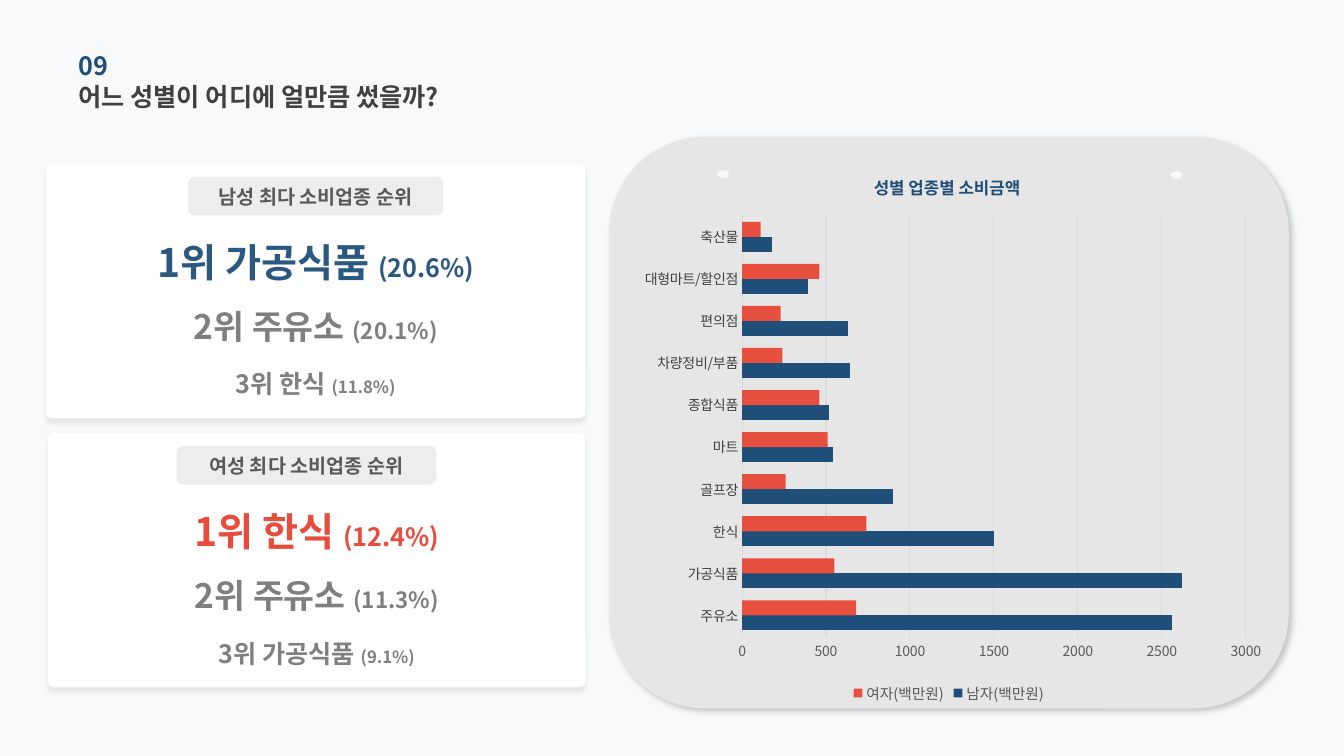
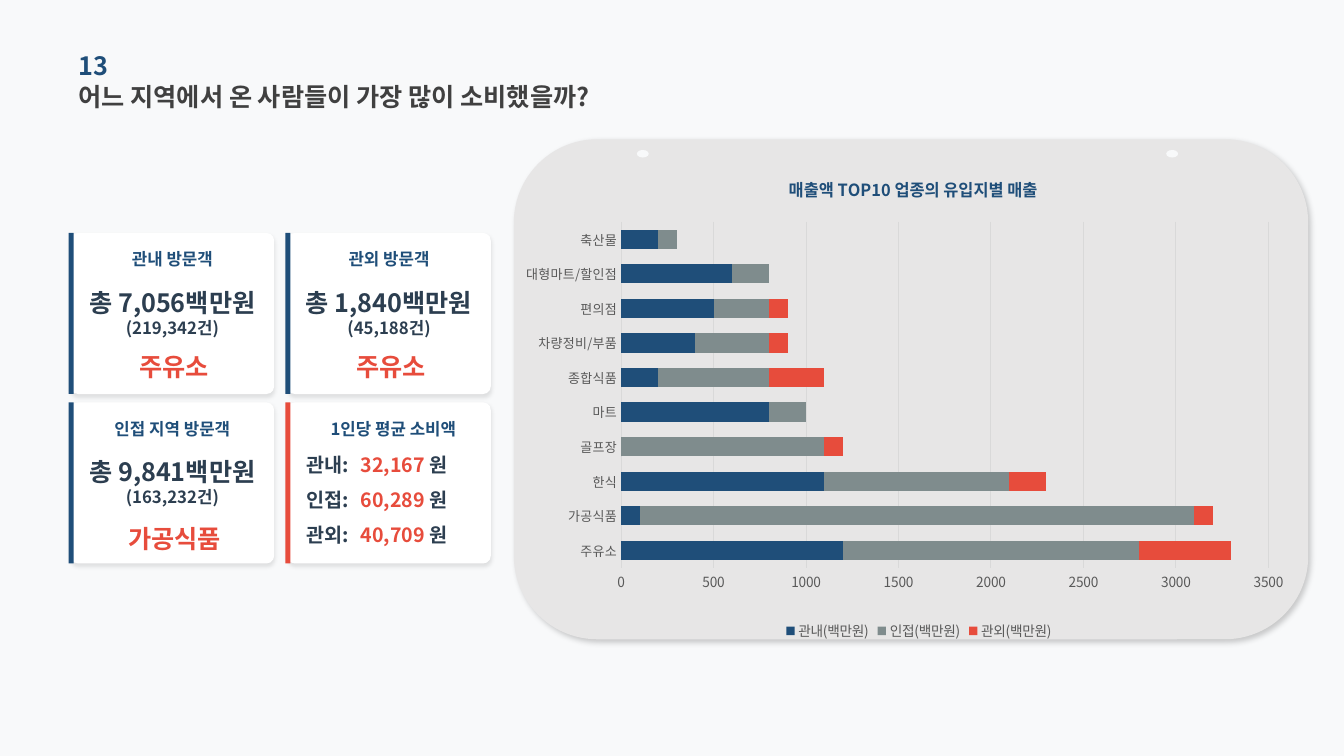
from lxml import etree
from pptx import Presentation
from pptx.chart.data import CategoryChartData
from pptx.dml.color import RGBColor
from pptx.enum import chart as ch, shapes as sh, text as tx
from pptx.oxml import parse_xml
from pptx.oxml.ns import nsdecls, qn
from pptx.util import Cm, Pt

FONT = "Noto Sans CJK KR"
PAPER, PANEL, WHITE, PILL = "F8F9FA", "E7E6E6", "FFFFFF", "D0CECE"
NAVY, RED, TEAL_GRAY, SLATE = "1F4E79", "E74C3C", "7F8C8D", "2C3E50"
DARK, MID, GRAY, GRID = "404040", "595959", "7F7F7F", "D9D9D9"
LEFT, CENTER = tx.PP_ALIGN.LEFT, tx.PP_ALIGN.CENTER
ROUND, RECT, OVAL = (sh.MSO_SHAPE.ROUNDED_RECTANGLE, sh.MSO_SHAPE.RECTANGLE,
                     sh.MSO_SHAPE.OVAL)

# Content; boxes are left, top, width, height in cm
SECTORS = ["주유소", "가공식품", "한식", "골프장", "마트", "종합식품",
           "차량정비/부품", "편의점", "대형마트/할인점", "축산물"]

GENDER = dict(
    number="09", title="어느 성별이 어디에 얼만큼 썼을까?",
    panel=(15.36, 3.45, 17.12, 14.4), dots=[(18.07, 4.29), (29.5, 4.32)],
    chart=dict(
        kind=ch.XL_CHART_TYPE.BAR_CLUSTERED, box=(15.72, 3.86, 16.38, 13.97),
        title="성별 업종별 소비금액", title_at=(0.38, 0.03),
        plot=(0.182, 0.113, 0.775, 0.759), top=3000, overlap=0,
        label_size=10, label_color=DARK, legend_size=10.5,
        series=[
            ("남자(백만원)", NAVY, None,
             [2560, 2620, 1500, 900, 540, 520, 640, 630, 390, 180]),
            ("여자(백만원)", RED, 98,
             [680, 550, 740, 260, 510, 460, 240, 230, 460, 110])]))

RANKINGS = [
    dict(box=(1.16, 4.14, 13.59, 6.4), pill=(4.74, 6.43),
         heading="남성 최다 소비업종 순위", accent="2B5880",
         ranks=[("1위 가공식품 ", "(20.6%)"), ("2위 주유소 ", "(20.1%)"),
                ("3위 한식 ", "(11.8%)")]),
    dict(box=(1.21, 10.92, 13.54, 6.4), pill=(4.45, 6.55),
         heading="여성 최다 소비업종 순위", accent=RED,
         ranks=[("1위 한식 ", "(12.4%)"), ("2위 주유소 ", "(11.3%)"),
                ("3위 가공식품 ", "(9.1%)")])]
# Offset from card top, height, name size, share size
RANK_STYLES = [(1.85, 1.22, 28, 18), (3.02, 2.13, 24, 16), (4.47, 2.13, 18, 12)]

REGION = dict(
    number="13", title="어느 지역에서 온 사람들이 가장 많이 소비했을까?",
    panel=(12.95, 3.51, 20.02, 12.6), dots=[(16.05, 3.78), (29.39, 3.78)],
    chart=dict(
        kind=ch.XL_CHART_TYPE.BAR_STACKED, box=(13.26, 3.96, 19.33, 12.29),
        title="매출액 TOP10 업종의 유입지별 매출", title_at=(0.322, 0.03),
        plot=(0.102, 0.133, 0.865, 0.709), top=3500, overlap=100,
        label_size=9.5, label_color=MID, legend_size=10,
        series=[
            ("관내(백만원)", NAVY, None,
             [1200, 100, 1100, 0, 800, 200, 400, 500, 600, 200]),
            ("인접(백만원)", TEAL_GRAY, None,
             [1600, 3000, 1000, 1100, 200, 600, 400, 300, 200, 100]),
            ("관외(백만원)", RED, None,
             [500, 100, 200, 100, 0, 300, 100, 100, 0, 0])]))

VISITORS = [("관내 방문객", "총 7,056백만원", "(219,342건)", "주유소"),
            ("관외 방문객", "총 1,840백만원", "(45,188건)", "주유소"),
            ("인접 지역 방문객", "총 9,841백만원", "(163,232건)", "가공식품")]
AVERAGE_HEADING = "1인당 평균 소비액"
AVERAGES = [("관내:", "32,167 "), ("인접:", "60,289 "), ("관외:", "40,709 ")]
CARD_LEFT, CARD_TOP, CARD_W, CARD_H = 1.78, 5.87, 5.13, 4.06
CARD_STEP_X, CARD_STEP_Y = 5.46, 4.27


def rgb(color):
    return RGBColor.from_string(color)


def cm(box):
    return [Cm(length) for length in box]


def set_alpha(element, percent):
    for color in element.iter(qn("a:srgbClr")):
        etree.SubElement(color, qn("a:alpha")).set("val", str(percent * 1000))


def set_font(font, size, color, bold=False):
    font.name, font.size, font.bold = FONT, Pt(size), bold
    font.color.rgb = rgb(color)


def add_block(shapes, kind, box, color, alpha=None, corner=None, shadow=None):
    block = shapes.add_shape(kind, *cm(box))
    block.shadow.inherit = False
    block.fill.solid()
    block.fill.fore_color.rgb = rgb(color)
    block.line.fill.background()
    if alpha:
        set_alpha(block._element.spPr, alpha)
    if corner is not None:
        block.adjustments[0] = corner
    if shadow:
        opacity, blur, distance, angle = shadow
        block._element.spPr.find(qn("a:effectLst")).append(parse_xml(
            f'<a:outerShdw {nsdecls("a")} blurRad="{Pt(blur)}" '
            f'dist="{Pt(distance)}" dir="{angle * 60000}" algn="t" '
            f'rotWithShape="0"><a:srgbClr val="000000"><a:alpha '
            f'val="{opacity * 1000}"/></a:srgbClr></a:outerShdw>'))
    return block


def write(holder, *runs, size, color, align=LEFT):
    """Each run is a text or (text, size, color); "\n" breaks the line."""
    frame = holder.text_frame
    frame.word_wrap = True
    frame.vertical_anchor = tx.MSO_ANCHOR.MIDDLE
    frame.margin_left = frame.margin_right = 0
    frame.margin_top = frame.margin_bottom = 0
    paragraph = frame.paragraphs[0]
    paragraph.alignment = align
    for item in runs:
        if item == "\n":
            paragraph.add_line_break()
            continue
        words, run_size, run_color = (
            (item, size, color) if isinstance(item, str) else item)
        run = paragraph.add_run()
        run.text = words
        set_font(run.font, run_size, run_color, bold=True)


def add_text(shapes, box, *runs, **style):
    write(shapes.add_textbox(*cm(box)), *runs, **style)


def layout_xml(inner=False, **places):
    target = '<c:layoutTarget val="inner"/>' if inner else ""
    modes = "".join(f'<c:{k}Mode val="edge"/>' for k in "xy")
    values = "".join(f'<c:{k} val="{v}"/>' for k, v in places.items())
    return parse_xml(f'<c:layout {nsdecls("c")}><c:manualLayout>{target}{modes}'
                     f'{values}</c:manualLayout></c:layout>')


def set_layout(parent, layout, before):
    for old in parent.findall(qn("c:layout")):
        parent.remove(old)
    parent.insert(before, layout)


def add_bar_chart(slide, content):
    data = CategoryChartData()
    data.categories = SECTORS
    for name, _, _, values in content["series"]:
        data.add_series(name, values)
    chart = slide.shapes.add_chart(content["kind"], *cm(content["box"]), data).chart
    set_font(chart.font, 10, MID)

    # Title
    chart.has_title = True
    title = chart.chart_title
    run = title.text_frame.paragraphs[0].add_run()
    run.text = content["title"]
    set_font(run.font, 12, NAVY, bold=True)
    title.include_in_layout = False
    set_layout(title._element, layout_xml(**dict(zip("xy", content["title_at"]))), 1)

    # Legend
    chart.has_legend = True
    chart.legend.position = ch.XL_LEGEND_POSITION.BOTTOM
    chart.legend.include_in_layout = False
    set_font(chart.legend.font, content["legend_size"], MID)

    # Axes
    sectors, amounts = chart.category_axis, chart.value_axis
    for axis in (sectors, amounts):
        axis.major_tick_mark = axis.minor_tick_mark = ch.XL_TICK_MARK.NONE
    set_font(sectors.tick_labels.font, content["label_size"], content["label_color"])
    set_font(amounts.tick_labels.font, 10, MID)
    amounts.minimum_scale, amounts.maximum_scale = 0, content["top"]
    amounts.major_unit = 500
    amounts.has_major_gridlines = True
    amounts.format.line.fill.background()
    for line in (sectors.format.line, amounts.major_gridlines.format.line):
        line.color.rgb = rgb(GRID)
        line.width = Pt(0.75)

    # Bars
    plot = chart.plots[0]
    plot.gap_width, plot.overlap = 80, content["overlap"]
    plot.vary_by_categories = False
    for bars, (_, color, alpha, _) in zip(plot.series, content["series"]):
        bars.format.fill.solid()
        bars.format.fill.fore_color.rgb = rgb(color)
        if alpha:
            set_alpha(bars._element, alpha)

    # Plot position, clear backgrounds
    space = chart._chartSpace
    area = space.chart.plotArea
    set_layout(area, layout_xml(True, **dict(zip("xywh", content["plot"]))), 0)
    clear = (f'<c:spPr {nsdecls("c", "a")}><a:noFill/>'
             '<a:ln><a:noFill/></a:ln></c:spPr>')
    area.append(parse_xml(clear))
    space.chart.addnext(parse_xml(clear))


def add_page(deck, page):
    """Background, panel, heading, pin dots."""
    slide = deck.slides.add_slide(deck.slide_layouts[6])
    slide.background.fill.solid()
    slide.background.fill.fore_color.rgb = rgb(PAPER)
    add_block(slide.shapes, ROUND, page["panel"], PANEL, shadow=(20, 4, 3, 45))
    add_text(slide.shapes, (1.98, 1.91, 13.6, 1.04), page["title"],
             size=18, color=DARK)
    add_text(slide.shapes, (1.98, 1.12, 11.48, 1.04), page["number"],
             size=18, color=NAVY)
    for left, top in page["dots"]:
        add_block(slide.shapes, OVAL, (left, top, 0.3, 0.19), PAPER)
    return slide


def add_ranking(slide, ranking):
    shapes = slide.shapes.add_group_shape().shapes
    left, top, width, _ = ranking["box"]
    add_block(shapes, ROUND, ranking["box"], WHITE, corner=0.023,
              shadow=(8, 4, 3, 90))
    colors = [ranking["accent"], GRAY, GRAY]
    for (name, share), style, color in zip(ranking["ranks"], RANK_STYLES, colors):
        offset, height, name_size, share_size = style
        add_text(shapes, (left, top + offset, width, height), name,
                 (share, share_size, color), size=name_size, color=color,
                 align=CENTER)
    pill_left, pill_width = ranking["pill"]
    pill = add_block(shapes, ROUND, (pill_left, top + 0.32, pill_width, 0.97),
                     PILL, alpha=36)
    write(pill, ranking["heading"], size=14, color=MID, align=CENTER)


def add_card(shapes, index, edge):
    row, column = divmod(index, 2)
    left, top = CARD_LEFT + column * CARD_STEP_X, CARD_TOP + row * CARD_STEP_Y
    add_block(shapes, ROUND, (left, top, CARD_W, CARD_H), WHITE, corner=0.048,
              shadow=(10, 3, 2, 90))
    add_block(shapes, RECT, (left - 0.05, top, 0.13, CARD_H), edge)
    return left, top


def main():
    deck = Presentation()
    deck.slide_width, deck.slide_height = Cm(33.87), Cm(19.05)

    # Spending by gender
    slide = add_page(deck, GENDER)
    for ranking in RANKINGS:
        add_ranking(slide, ranking)
    add_bar_chart(slide, GENDER["chart"])

    # Spending by visitors' region
    slide = add_page(deck, REGION)
    shapes = slide.shapes
    for index, (heading, total, count, sector) in enumerate(VISITORS):
        left, top = add_card(shapes, index, NAVY)
        add_text(shapes, (left, top + 0.26, CARD_W, 0.79), heading,
                 size=12, color=NAVY, align=CENTER)
        add_text(shapes, (left, top + 1.41, CARD_W, 1.19), total, "\n",
                 (count, 12, SLATE), size=18, color=SLATE, align=CENTER)
        sector_top = top + 2.76 + 0.08 * (index // 2)
        add_text(shapes, (left + 0.05, sector_top, CARD_W, 1.19), sector,
                 size=18, color=RED, align=CENTER)

    # Average per person
    left, top = add_card(shapes, len(VISITORS), RED)
    add_text(shapes, (left + 1.09, top + 0.28, 3.8, 0.79), AVERAGE_HEADING,
             size=12, color=NAVY)
    for row, (region, amount) in enumerate(AVERAGES):
        row_top = top + 1.19 + row * 0.88
        add_text(shapes, (left + 0.48, row_top, 1.5, 0.76), region,
                 size=14, color=SLATE)
        add_text(shapes, (left + 1.85, row_top, 3, 0.76), amount,
                 ("원", 14, SLATE), size=14, color=RED)
    add_bar_chart(slide, REGION["chart"])

    deck.save("out.pptx")


if __name__ == "__main__":
    main()
